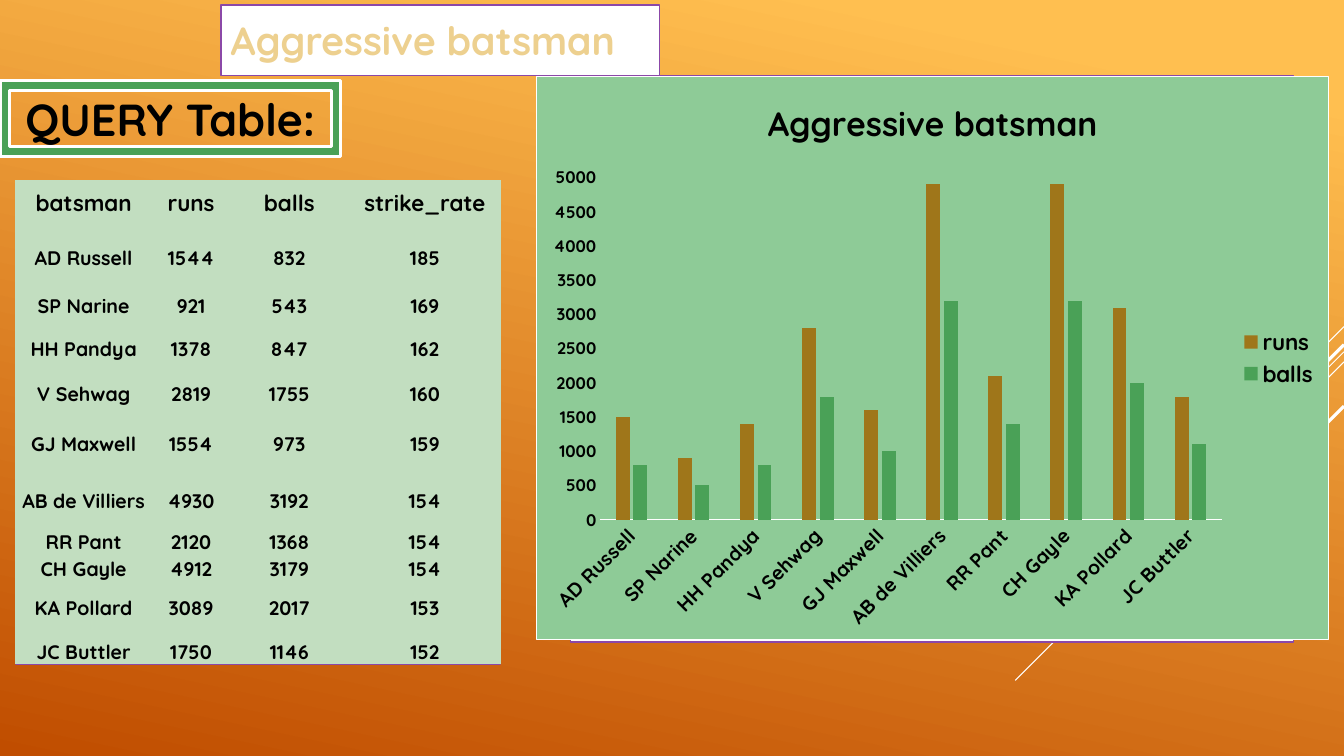
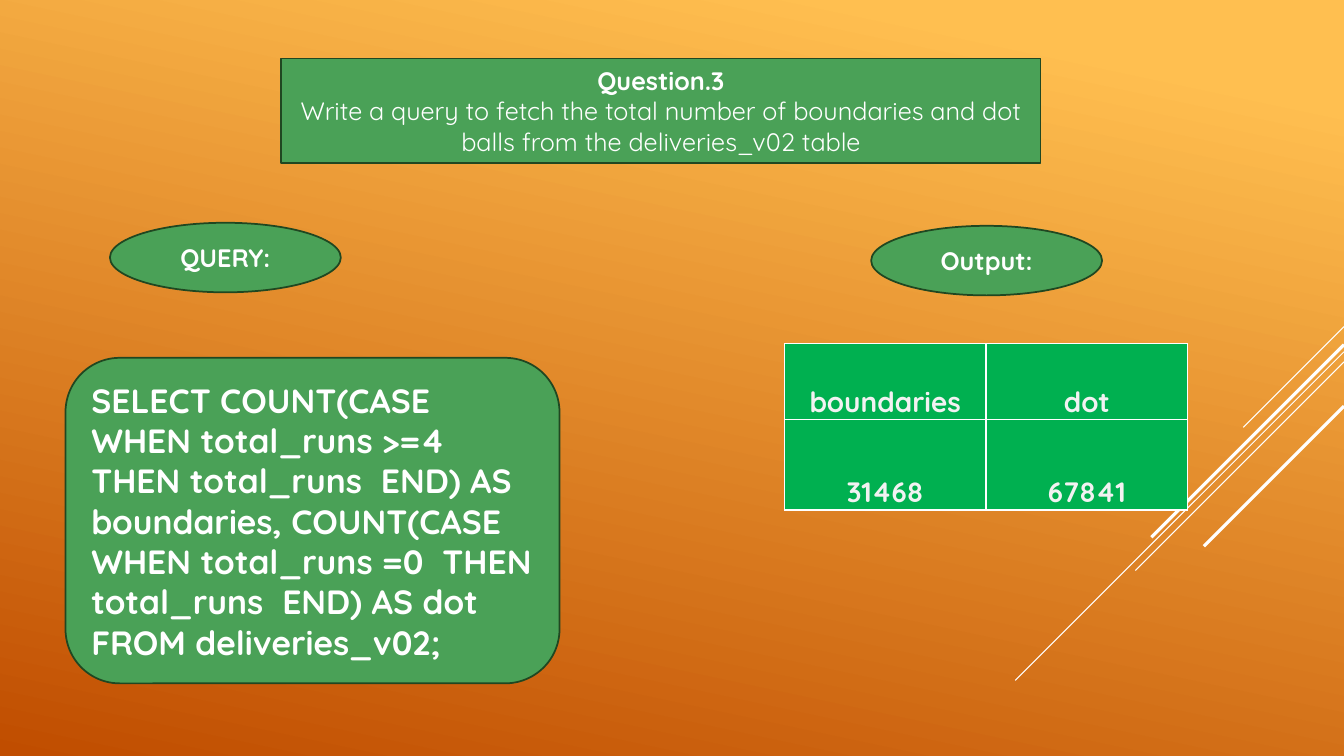
from pptx import Presentation
from pptx.chart.data import CategoryChartData
from pptx.dml.color import RGBColor
from pptx.enum.chart import XL_CHART_TYPE, XL_LEGEND_POSITION, XL_TICK_MARK
from pptx.enum.shapes import MSO_CONNECTOR, MSO_SHAPE
from pptx.enum.text import MSO_ANCHOR, PP_ALIGN
from pptx.oxml import parse_xml
from pptx.oxml.ns import nsdecls, qn
from pptx.util import Inches, Pt
from lxml import etree

COLOURS = {
    "light orange": "FFBF50", "dark orange": "C04D00", "white": "FFFFFF",
    "black": "000000", "purple": "8B48A8", "green": "4AA157",
    "dark green": "204721", "pale green": "C2DEC0", "chart green": "8ECB97",
    "bright green": "00B050", "gold": "9F761A", "pale gold": "EDD08F",
    "off white": "F2F2F2",
}
RGB = {name: RGBColor.from_string(value) for name, value in COLOURS.items()}
FONT = "Quicksand"
NO_GRID_STYLE = "{2D5ABB26-0587-4C30-8999-92F81FD0307C}"


def write(text_frame, lines, size, colour, align=PP_ALIGN.CENTER):
    """Fill a text frame with (text, bold) lines."""
    for index, (text, bold) in enumerate(lines):
        paragraph = text_frame.paragraphs[0] if index == 0 else text_frame.add_paragraph()
        paragraph.alignment = align
        run = paragraph.add_run()
        run.text = text
        for name, value in {"name": FONT, "size": Pt(size), "bold": bold}.items():
            setattr(run.font, name, value)
        run.font.color.rgb = RGB[colour]


def add_box(slide, kind, place, fill, line, width=1.25):
    """Add a flat preset shape; place is left, top, width, height."""
    shape = slide.shapes.add_shape(kind, *[Inches(length) for length in place])
    shape.shadow.inherit = False
    shape.fill.solid()
    shape.fill.fore_color.rgb = RGB[fill]
    shape.line.color.rgb = RGB[line]
    shape.line.width = Pt(width)
    shape.text_frame.word_wrap = True
    shape.text_frame.vertical_anchor = MSO_ANCHOR.MIDDLE
    return shape


presentation = Presentation()
presentation.slide_width = Inches(13.33)
presentation.slide_height = Inches(7.5)

# Shared background
background = presentation.slide_master.background.fill
background.gradient()
background.gradient_angle = 258
for stop, position, colour in zip(background.gradient_stops, (0.1, 1),
                                  ("light orange", "dark orange")):
    stop.position = position
    stop.color.rgb = RGB[colour]

# Shared diagonal lines: start height on the right edge, run, width
diagonals = [(3.24, 1, 0.75), (3.49, 3.26, 0.75), (3.59, 2.07, 0.75),
             (3.42, 1.91, 2.25), (4.03, 1.39, 2.25)]
slides = []
for _ in range(2):
    slide = presentation.slides.add_slide(presentation.slide_layouts[6])
    for top, run_length, width in diagonals:
        connector = slide.shapes.add_connector(
            MSO_CONNECTOR.STRAIGHT, Inches(13.33), Inches(top),
            Inches(13.33 - run_length), Inches(top + run_length))
        connector.line.color.rgb = RGB["white"]
        connector.line.width = Pt(width)
        etree.SubElement(connector.element.spPr, qn("a:effectLst"))
    slides.append(slide)
batsman_slide, question_slide = slides

# Cards behind the query table and the chart
for place in [(0.16, 1.79, 4.8, 4.8), (5.66, 0.75, 7.17, 5.62)]:
    add_box(batsman_slide, MSO_SHAPE.RECTANGLE, place, "white", "purple")

# Tables
batsmen = [
    ("AD Russell", 1544, 832, 185),
    ("SP Narine", 921, 543, 169),
    ("HH Pandya", 1378, 847, 162),
    ("V Sehwag", 2819, 1755, 160),
    ("GJ Maxwell", 1554, 973, 159),
    ("AB de Villiers", 4930, 3192, 154),
    ("RR Pant", 2120, 1368, 154),
    ("CH Gayle", 4912, 3179, 154),
    ("KA Pollard", 3089, 2017, 153),
    ("JC Buttler", 1750, 1146, 152),
]
tables = [
    {"slide": batsman_slide, "left": 0.15, "top": 1.79,
     "columns": [1.36, 0.77, 1.18, 1.51],
     "heights": [0.36, 0.53, 0.48, 0.43, 0.44, 0.5, 0.56, 0.41, 0.27, 0.39, 0.43],
     "rows": [("batsman", "runs", "balls", "strike_rate")] + batsmen,
     "head size": 16, "size": 14, "colour": "black", "fill": "pale green",
     "border": None},
    {"slide": question_slide, "left": 7.78, "top": 3.41,
     "columns": [2, 2], "heights": [0.75, 0.9],
     "rows": [("boundaries", "dot"), (31468, 67841)],
     "head size": 20, "size": 20, "colour": "off white", "fill": "bright green",
     "border": "white"},
]
cell_format = {"margin_left": Inches(0.01), "margin_right": Inches(0.01),
               "margin_top": Inches(0.01), "margin_bottom": 0,
               "vertical_anchor": MSO_ANCHOR.BOTTOM}
for data in tables:
    frame = data["slide"].shapes.add_table(
        len(data["rows"]), len(data["columns"]), Inches(data["left"]), Inches(data["top"]),
        Inches(sum(data["columns"])), Inches(sum(data["heights"])))
    table = frame.table
    table.first_row = table.horz_banding = False
    next(frame.element.iter(qn("a:tableStyleId"))).text = NO_GRID_STYLE
    for column, width in zip(table.columns, data["columns"]):
        column.width = Inches(width)
    for row_index, values in enumerate(data["rows"]):
        table.rows[row_index].height = Inches(data["heights"][row_index])
        size = data["size"] if row_index else data["head size"]
        for column_index, value in enumerate(values):
            cell = table.cell(row_index, column_index)
            for name, setting in cell_format.items():
                setattr(cell, name, setting)
            write(cell.text_frame, [(str(value), True)], size, data["colour"])
            cell.fill.solid()
            cell.fill.fore_color.rgb = RGB[data["fill"]]
    if data["border"]:
        for properties in frame.element.iter(qn("a:tcPr")):
            for position, side in enumerate(("lnL", "lnR", "lnT", "lnB")):
                properties.insert(position, parse_xml(
                    f'<a:{side} {nsdecls("a")} w="12700"><a:solidFill><a:srgbClr '
                    f'val="{COLOURS[data["border"]]}"/></a:solidFill></a:{side}>'))

# Chart of runs and balls, rounded to hundreds
chart_width, chart_height = 7.86, 5.6
chart_data = CategoryChartData()
names, runs, balls, _ = zip(*batsmen)
chart_data.categories = names
for series_name, values in [("runs", runs), ("balls", balls)]:
    chart_data.add_series(series_name, [round(value, -2) for value in values])
chart = batsman_slide.shapes.add_chart(
    XL_CHART_TYPE.COLUMN_CLUSTERED, Inches(5.32), Inches(0.75),
    Inches(chart_width), Inches(chart_height), chart_data).chart
chart.has_title = True
write(chart.chart_title.text_frame, [("Aggressive batsman", True)], 24, "black")
chart.chart_title.include_in_layout = False
chart.has_legend = True
chart.legend.position = XL_LEGEND_POSITION.RIGHT
chart.legend.include_in_layout = False

plot = chart.plots[0]
plot.gap_width = 219
plot.overlap = -27
plot.vary_by_categories = False
for series, colour in zip(plot.series, ("gold", "green")):
    series.format.fill.solid()
    series.format.fill.fore_color.rgb = RGB[colour]

category_axis, value_axis = chart.category_axis, chart.value_axis
for axis in (category_axis, value_axis):
    axis.major_tick_mark = axis.minor_tick_mark = XL_TICK_MARK.NONE
    axis.has_major_gridlines = False
category_axis.format.line.color.rgb = RGB["white"]
category_axis.format.line.width = Pt(0.75)
value_axis.format.line.fill.background()
value_axis.minimum_scale, value_axis.maximum_scale = 0, 5000
value_axis.major_unit = 500

for font, size in [(chart.font, 12), (category_axis.tick_labels.font, 14),
                   (value_axis.tick_labels.font, 12), (chart.legend.font, 16)]:
    for name, value in {"name": FONT, "size": Pt(size), "bold": True}.items():
        setattr(font, name, value)
    font.color.rgb = RGB["black"]

# Slanted category labels, chart background and plot position
label_body = next(next(chart.element.iter(qn("c:catAx"))).iter(qn("a:bodyPr")))
label_body.set("rot", "-2700000")
label_body.set("vert", "horz")
chart.element.find(qn("c:chart")).addnext(parse_xml(
    f'<c:spPr {nsdecls("c", "a")}><a:solidFill><a:srgbClr val="{COLOURS["chart green"]}"/>'
    f'</a:solidFill><a:ln w="9525"><a:solidFill><a:srgbClr val="{COLOURS["white"]}"/>'
    '</a:solidFill></a:ln></c:spPr>'))
plot_area = next(chart.element.iter(qn("c:plotArea")))
for old_layout in plot_area.findall(qn("c:layout")):
    plot_area.remove(old_layout)
layout = etree.Element(qn("c:layout"))
manual = etree.SubElement(layout, qn("c:manualLayout"))
for name, value in {"layoutTarget": "inner", "xMode": "edge", "yMode": "edge",
                    "x": 0.63 / chart_width, "y": 1.01 / chart_height,
                    "w": 6.17 / chart_width, "h": 3.4 / chart_height}.items():
    etree.SubElement(manual, qn(f"c:{name}")).set("val", str(value))
plot_area.insert(0, layout)

# Headings of the batsman slide
heading = add_box(batsman_slide, MSO_SHAPE.FRAME, (0, 0.8, 3.38, 0.75),
                  "green", "white", 2.25)
write(heading.text_frame, [("QUERY Table:", True)], 32, "black")
title = add_box(batsman_slide, MSO_SHAPE.RECTANGLE, (2.19, 0.05, 4.35, 0.7),
                "white", "purple")
write(title.text_frame, [("Aggressive batsman", True)], 28, "pale gold", PP_ALIGN.LEFT)

# Question, labels and query
query = ("SELECT COUNT(CASE WHEN total_runs >=4  THEN total_runs  END) AS boundaries, "
         "COUNT(CASE WHEN total_runs =0  THEN total_runs  END) AS dot FROM deliveries_v02;")
question = ("Write a query to fetch the total number of boundaries and dot balls "
            "from the deliveries_v02 table")
question_boxes = [
    (MSO_SHAPE.OVAL, (1.09, 2.21, 2.29, 0.69), [("QUERY:", True)], 18, PP_ALIGN.CENTER),
    (MSO_SHAPE.RECTANGLE, (2.79, 0.58, 7.53, 1.04),
     [("Question.3", True), (question, False)], 18, PP_ALIGN.CENTER),
    (MSO_SHAPE.OVAL, (8.64, 2.24, 2.29, 0.69), [("Output:", True)], 18, PP_ALIGN.CENTER),
    (MSO_SHAPE.ROUNDED_RECTANGLE, (0.65, 3.55, 4.9, 3.23), [(query, True)], 24, PP_ALIGN.LEFT),
]
for kind, place, lines, size, align in question_boxes:
    shape = add_box(question_slide, kind, place, "green", "dark green")
    write(shape.text_frame, lines, size, "white", align)

presentation.save("out.pptx")
